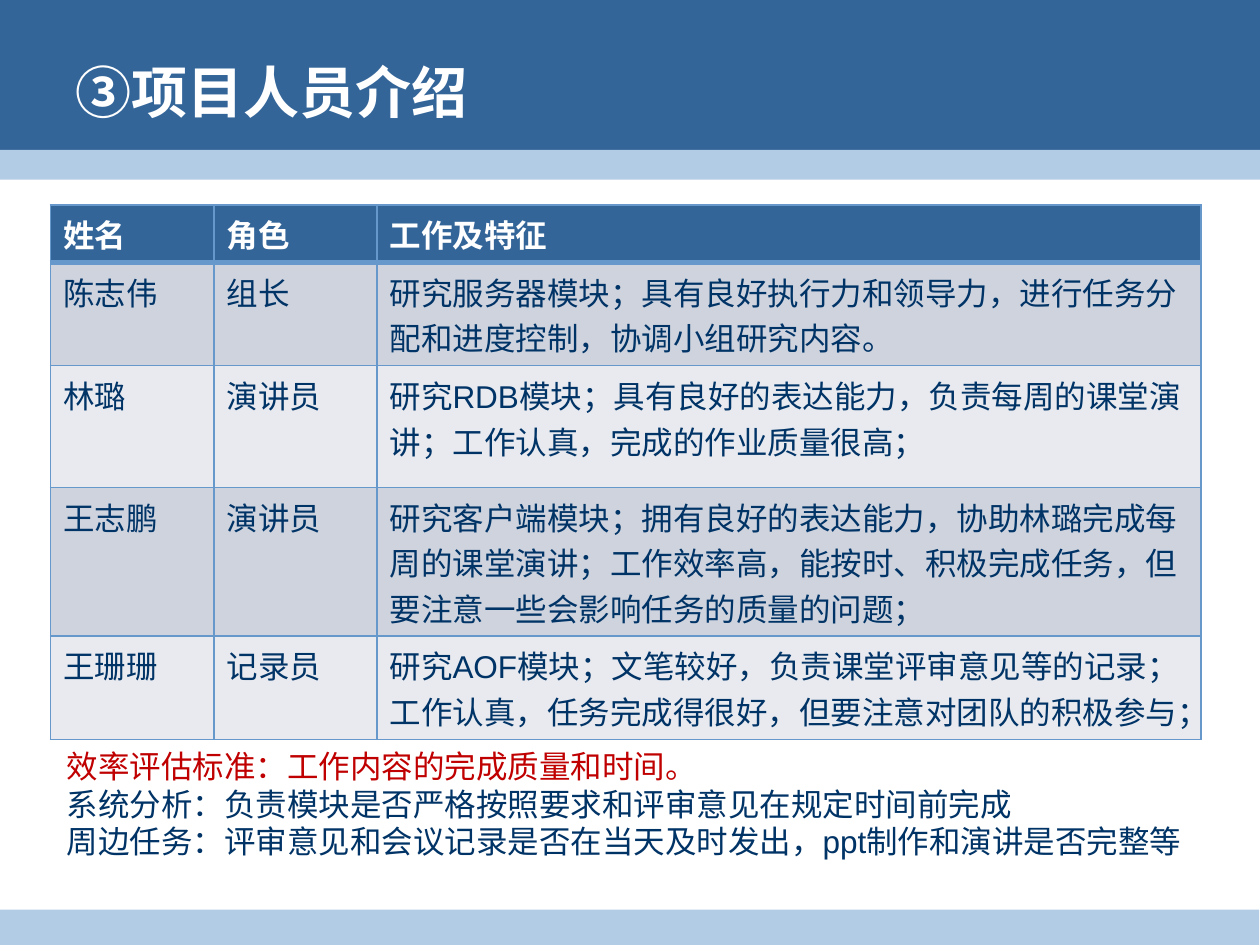
from lxml.etree import SubElement
from pptx import Presentation
from pptx.dml.color import RGBColor
from pptx.enum.shapes import MSO_SHAPE
from pptx.enum.text import MSO_ANCHOR
from pptx.oxml.ns import qn
from pptx.util import Pt


def color(code):
    return RGBColor.from_string(code)


def write(para, text, form):
    run = para.add_run()
    run.text = text
    run.font.color.rgb = color(form["color"])
    for key in ("size", "name", "bold"):
        setattr(run.font, key, form[key])


navy, blue, pale, edge = "003366", "336599", "B3CCE6", "6698CC"
body = {"size": Pt(18), "name": "Arial", "bold": False, "color": navy}
head = {**body, "bold": True, "color": "FFFFFF"}
title = {**head, "size": Pt(32)}

deck = Presentation()
deck.slide_width, deck.slide_height = Pt(720), Pt(540)
slide = deck.slides.add_slide(deck.slide_layouts[6])

bands = [(0, 94.3, 720, blue), (85.7, 17, 720, pale), (519.8, 20.2, 719.5, pale)]
for top, high, wide, fill in bands:
    band = slide.shapes.add_shape(MSO_SHAPE.RECTANGLE, 0, Pt(top), Pt(wide), Pt(high))
    band.shadow.inherit = False
    band.fill.solid()
    band.fill.fore_color.rgb = color(fill)
    band.line.fill.background()

frame = slide.shapes.add_textbox(Pt(36), Pt(12.3), Pt(648), Pt(79)).text_frame
frame.word_wrap = True
frame.vertical_anchor = MSO_ANCHOR.MIDDLE
write(frame.paragraphs[0], "③", {**title, "name": "Calibri"})
write(frame.paragraphs[0], "项目人员介绍", title)

rows = [
    ("姓名", "角色", "工作及特征"),
    ("陈志伟", "组长", "研究服务器模块；具有良好执行力和领导力，进行任务分配和进度控制，协调小组研究内容。"),
    ("林璐", "演讲员", "研究RDB模块；具有良好的表达能力，负责每周的课堂演讲；工作认真，完成的作业质量很高；"),
    ("王志鹏", "演讲员", "研究客户端模块；拥有良好的表达能力，协助林璐完成每周的课堂演讲；工作效率高，能按时、积极完成任务，但要注意一些会影响任务的质量的问题；"),
    ("王珊珊", "记录员", "研究AOF模块；文笔较好，负责课堂评审意见等的记录；工作认真，任务完成得很好，但要注意对团队的积极参与；"),
]
wides = [93.6, 93, 471]
highs = [33, 59, 69.5, 85, 59]
fills = [blue, "CED3DE", "E8EAEF", "CED3DE", "E8EAEF"]

table = slide.shapes.add_table(
    len(rows), len(wides), Pt(28.8), Pt(117), Pt(sum(wides)), Pt(sum(highs))
).table
for col, wide in zip(table.columns, wides):
    col.width = Pt(wide)
for i, (row, high, fill) in enumerate(zip(rows, highs, fills)):
    table.rows[i].height = Pt(high)
    for j, text in enumerate(row):
        cell = table.cell(i, j)
        write(cell.text_frame.paragraphs[0], text, body if i else head)
        props = cell._tc.get_or_add_tcPr()
        for side in "LRTB":
            thick = 3 if (i, side) in [(0, "B"), (1, "T")] else 1
            line = SubElement(props, qn("a:ln" + side), w=str(Pt(thick)))
            solid = SubElement(line, qn("a:solidFill"))
            SubElement(solid, qn("a:srgbClr"), val=edge)
        cell.fill.solid()
        cell.fill.fore_color.rgb = color(fill)

notes = [
    ("效率评估标准：工作内容的完成质量和时间。", "C00000"),
    ("系统分析：负责模块是否严格按照要求和评审意见在规定时间前完成", navy),
    ("周边任务：评审意见和会议记录是否在当天及时发出，ppt制作和演讲是否完整等", navy),
]
frame = slide.shapes.add_textbox(Pt(31), Pt(423.4), Pt(674.6), Pt(72.7)).text_frame
frame.word_wrap = True
for i, (text, tint) in enumerate(notes):
    para = frame.add_paragraph() if i else frame.paragraphs[0]
    para.line_spacing = Pt(21.5)
    write(para, text, {**body, "color": tint})

deck.save("out.pptx")
